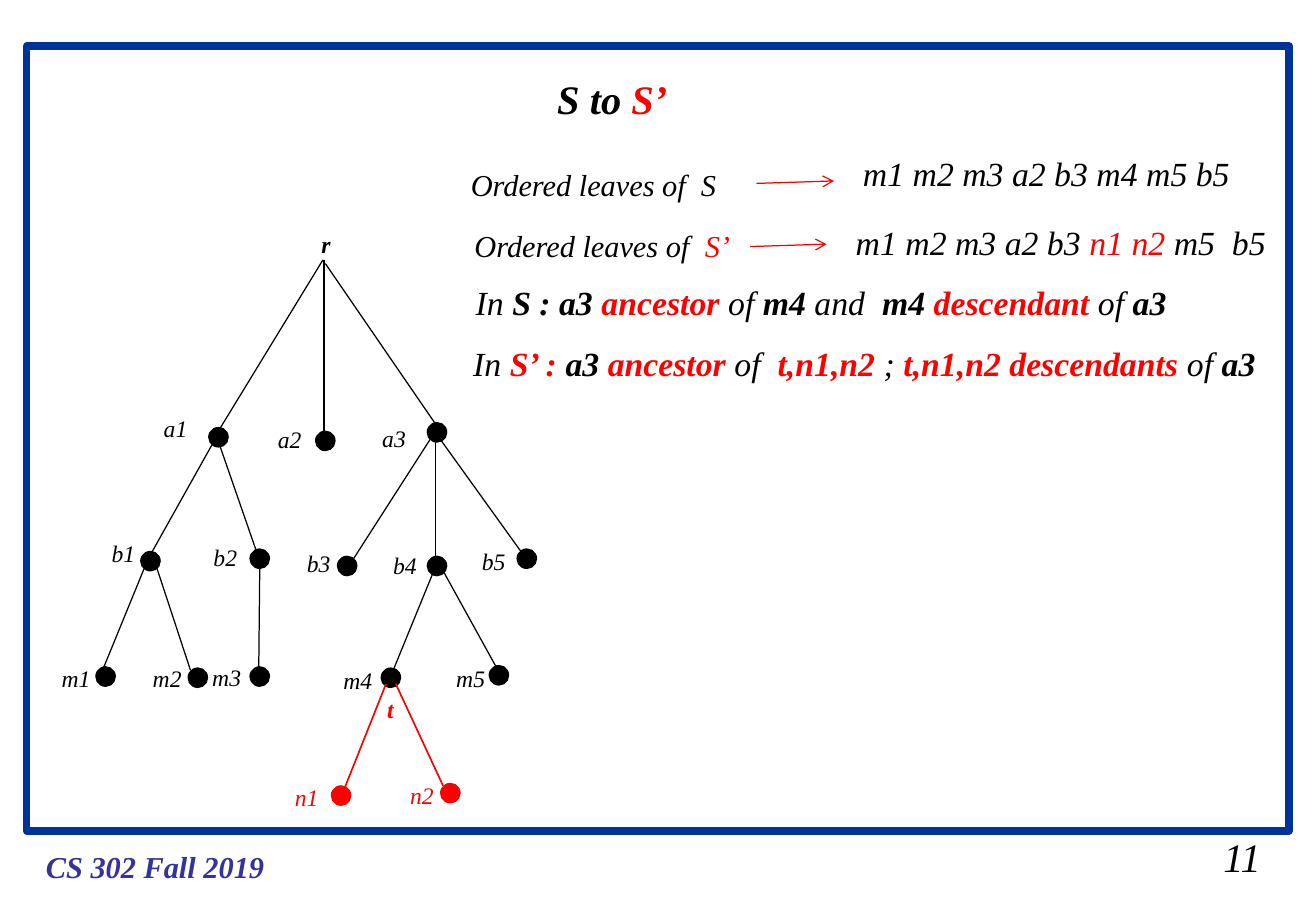
from lxml.etree import SubElement
from pptx import Presentation
from pptx.dml.color import RGBColor
from pptx.enum.shapes import MSO_CONNECTOR as Conn, MSO_SHAPE as Shape
from pptx.enum.text import MSO_ANCHOR as Anchor, MSO_AUTO_SIZE as Fit, PP_ALIGN as Align
from pptx.oxml.ns import qn
from pptx.util import Inches, Pt

INK = {"black": "000000", "red": "FF0000", "frame": "003399", "foot": "333399"}
DOT = 0.16


def write(box, runs, size, wrap=False):
    """Fill a box with (text, colour, bold) runs in italic Times."""
    frame = box.text_frame
    frame.word_wrap = wrap
    frame.auto_size = Fit.NONE
    frame.vertical_anchor = Anchor.TOP
    para = frame.paragraphs[0]
    para.alignment = Align.LEFT
    para.font.name = "Times New Roman"
    para.font.size = Pt(size)
    para.font.italic = True
    for text, ink, bold in runs:
        run = para.add_run()
        run.text = text
        run.font.bold = bold
        run.font.color.rgb = RGBColor.from_string(INK[ink])
    return para


def join(x1, y1, x2, y2, ink, width):
    line = slide.shapes.add_connector(
        Conn.STRAIGHT, Inches(x1), Inches(y1), Inches(x2), Inches(y2))
    line.line.color.rgb = RGBColor.from_string(INK[ink])
    line.line.width = Pt(width)
    SubElement(line._element.spPr, qn("a:effectLst"))
    return line


deck = Presentation()
deck.slide_width, deck.slide_height = Inches(10.84), Inches(7.5)
slide = deck.slides.add_slide(deck.slide_layouts[5])

# Title and frame
title = slide.shapes.title
title.left, title.top = Inches(4.49), Inches(0.36)
title.width, title.height = Inches(1.11), Inches(0.7)
head = write(title, [("S to ", "black", True), ("S’", "red", True)], 24)
head.line_spacing = 1.5

frame = slide.shapes.add_shape(
    Shape.RECTANGLE, Inches(0.22), Inches(0.38), Inches(10.4), Inches(6.46))
frame.shadow.inherit = False
frame.fill.background()
frame.line.color.rgb = RGBColor.from_string(INK["frame"])
frame.line.width = Pt(4.5)

# Tree nodes: left and top of each dot
dots = {
    "black": [(1.72, 3.52), (2.6, 3.55), (3.52, 3.48),
              (1.16, 4.54), (2.06, 4.52), (2.78, 4.58), (3.52, 4.58), (4.26, 4.52),
              (0.79, 5.49), (1.55, 5.5), (2.06, 5.49), (3.14, 5.5), (4.03, 5.48)],
    "red": [(2.73, 6.47), (3.63, 6.45)],
}
for ink, spots in dots.items():
    for x, y in spots:
        dot = slide.shapes.add_shape(
            Shape.OVAL, Inches(x), Inches(y), Inches(DOT), Inches(DOT))
        dot.shadow.inherit = False
        dot.fill.solid()
        dot.fill.fore_color.rgb = RGBColor.from_string(INK[ink])
        dot.line.color.rgb = RGBColor.from_string(INK[ink])
        dot.line.width = Pt(0.75)

# Tree edges, parent to child
edges = [
    (2.66, 2.14, 1.78, 3.58), (2.67, 2.14, 2.67, 3.65), (2.68, 2.17, 3.58, 3.48),
    (1.77, 3.62, 1.21, 4.62), (1.78, 3.58, 2.13, 4.59),
    (3.58, 3.56, 2.88, 4.65), (3.59, 3.56, 3.59, 4.7), (3.6, 3.58, 4.32, 4.58),
    (1.2, 4.65, 0.84, 5.53), (1.29, 4.67, 1.57, 5.52), (2.14, 4.66, 2.13, 5.65),
    (3.59, 4.66, 3.23, 5.54), (3.65, 4.7, 4.12, 5.55),
]
for ends in edges:
    join(*ends, "black", 0.75)
for ends in [(3.18, 5.63, 2.83, 6.51), (3.26, 5.63, 3.65, 6.47)]:
    join(*ends, "red", 1)

# Short labels: text, left, top, width, height, size, colour, bold
names = [
    ("r", 2.55, 1.84, 0.27), ("a1", 1.25, 3.36, 0.39), ("a2", 2.19, 3.45, 0.39),
    ("a3", 3.05, 3.44, 0.39), ("b1", 0.82, 4.39, 0.39), ("b2", 1.66, 4.42, 0.39),
    ("b3", 2.43, 4.47, 0.39), ("b4", 3.14, 4.49, 0.39), ("b5", 3.87, 4.45, 0.39),
    ("m1", 0.41, 5.42, 0.44), ("m2", 1.16, 5.42, 0.44), ("m3", 1.65, 5.41, 0.44),
    ("m4", 2.73, 5.43, 0.44), ("m5", 3.66, 5.42, 0.44), ("t", 3.09, 5.67, 0.27),
    ("n1", 2.33, 6.4, 0.39), ("n2", 3.28, 6.38, 0.39),
]
labels = [(*name, 0.34, 14, "red" if name[0] in ("t", "n1", "n2") else "black",
           name[0] in ("r", "t")) for name in names]
labels += [("CS 302 Fall 2019", 0.28, 6.93, 2, 0.4, 18, "foot", True),
           ("11", 9.98, 6.8, 0.53, 0.5, 24, "black", False)]
for text, x, y, w, h, size, ink, bold in labels:
    box = slide.shapes.add_textbox(Inches(x), Inches(y), Inches(w), Inches(h))
    write(box, [(text, ink, bold)], size)

# Statements: left, top, width, size, runs
lines = [
    (3.78, 1.32, 2.34, 18, [("Ordered leaves of  S", "black", False)]),
    (7.01, 1.21, 3.55, 20, [("m1 m2 m3 a2 b3 m4 m5 b5", "black", False)]),
    (3.81, 1.82, 2.5, 18, [("Ordered leaves of  ", "black", False),
                           ("S’", "red", False)]),
    (6.95, 1.78, 3.71, 20, [("m1 m2 m3 a2 b3 ", "black", False),
                            ("n1 n2 ", "red", False), ("m5  b5", "black", False)]),
    (3.82, 2.27, 6.16, 20, [
        ("In ", "black", False), ("S : a3 ", "black", True),
        ("ancestor", "red", True), (" of ", "black", False),
        ("m4", "black", True), (" and  ", "black", False),
        ("m4 ", "black", True), ("descendant", "red", True),
        (" of ", "black", False), ("a3", "black", True)]),
    (3.8, 2.77, 7.04, 20, [
        ("In ", "black", False), ("S’ : ", "red", True), ("a3 ", "black", True),
        ("ancestor", "red", True), (" of  ", "black", False),
        ("t,n1,n2 ", "red", True), ("; ", "black", False),
        ("t,n1,n2 descendants", "red", True), (" of ", "black", False),
        ("a3", "black", True)]),
]
for x, y, w, size, runs in lines:
    box = slide.shapes.add_textbox(
        Inches(x), Inches(y), Inches(w), Inches(0.44 if size == 20 else 0.4))
    write(box, runs, size, True)

for ends in [(6.23, 1.51, 6.87, 1.49), (6.18, 2.03, 6.81, 2.01)]:
    arrow = join(*ends, "red", 0.75)
    SubElement(arrow.line._get_or_add_ln(), qn("a:tailEnd"), type="arrow")

deck.save("out.pptx")
